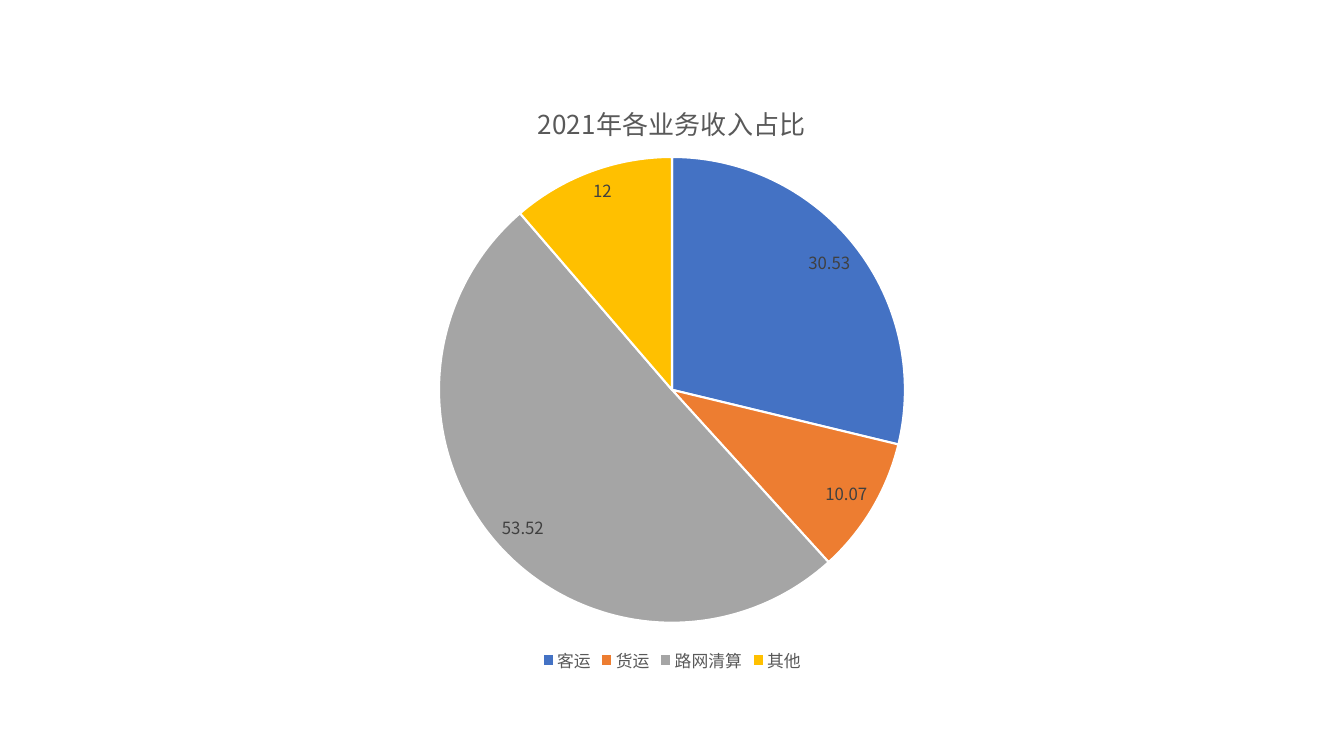
from lxml import etree
from pptx import Presentation
from pptx import util as u
from pptx.chart.data import CategoryChartData
from pptx.dml.color import RGBColor
from pptx.enum import chart as ch
from pptx.oxml.ns import qn

FACE = "Noto Sans CJK SC"


def paint(target, color):
    target.solid()
    target.fore_color.rgb = RGBColor.from_string(color)


def write(font, frame=None, content="", size=12, color="595959"):
    if frame is not None:
        frame.text = content
        font = frame.paragraphs[0].runs[0].font
    font.name, font.size, font.bold = FACE, u.Pt(size), False
    paint(font.fill, color)


deck = Presentation()
deck.slide_width, deck.slide_height = u.Inches(13.33), u.Inches(7.5)
slide = deck.slides.add_slide(deck.slide_layouts[6])
wide, high = deck.slide_width, deck.slide_height

revenue = {
    "客运": (30.53, "4472C4"),
    "货运": (10.07, "ED7D31"),
    "路网清算": (53.52, "A5A5A5"),
    "其他": (12, "FFC000"),
}
shares = CategoryChartData()
shares.categories = list(revenue)
shares.add_series("Series 1", [amount for amount, _ in revenue.values()])
pie = slide.shapes.add_chart(
    ch.XL_CHART_TYPE.PIE, wide // 6, int(high * 0.105),
    wide * 2 // 3, int(high * 0.79), shares).chart
write(pie.font, size=10, color="000000")

pie.has_title = True
write(None, pie.chart_title.text_frame, "2021年各业务收入占比", size=18.6)
pie.chart_title.include_in_layout = False

pie.has_legend = True
pie.legend.position = ch.XL_LEGEND_POSITION.BOTTOM
pie.legend.include_in_layout = False
write(pie.legend.font)

plot = pie.plots[0]
plot.vary_by_categories = True
plot.has_data_labels = True
labels = plot.data_labels
labels.show_value = True
labels.show_percentage = False
labels.number_format, labels.number_format_is_linked = "General", False
labels.position = ch.XL_LABEL_POSITION.INSIDE_END
write(labels.font, color="404040")

for index, (_, color) in enumerate(revenue.values()):
    wedge = plot.series[0].points[index].format
    paint(wedge.fill, color)
    paint(wedge.line.fill, "FFFFFF")
    wedge.line.width = u.Pt(1.5)

area = pie._chartSpace.chart.plotArea
for old in area.findall(qn("c:layout")):
    area.remove(old)
layout = etree.Element(qn("c:layout"))
area.insert(0, layout)
manual = etree.SubElement(layout, qn("c:manualLayout"))
for tag, value in (("layoutTarget", "inner"), ("xMode", "edge"), ("yMode", "edge"),
                   ("x", "0.24"), ("y", "0.13"), ("w", "0.52"), ("h", "0.78")):
    etree.SubElement(manual, qn("c:" + tag)).set("val", value)

deck.save("out.pptx")
